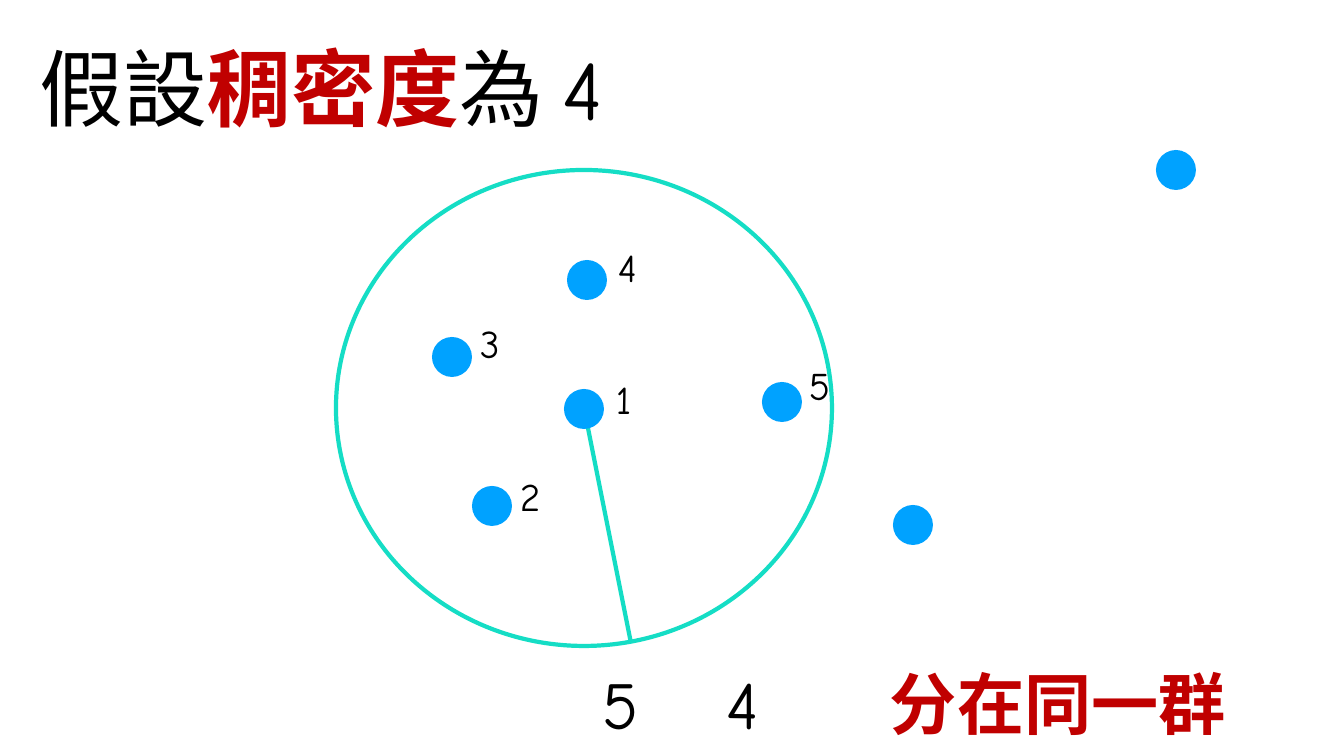
import pptx
import pptx.dml.color
import pptx.enum.shapes
import pptx.enum.text
import pptx.oxml.ns
import pptx.util
from lxml import etree

SCALE = 914400 / 100.8  # EMU per px
COLORS = {"black": "000000", "red": "C00000", "blue": "00A2FF", "teal": "15DDC5", "white": "FFFFFF"}
LATIN = "Comic Neue"
CJK = "Noto Sans CJK SC"
DOT = 40


def px(*lengths):
    return [round(length * SCALE) for length in lengths]


def add_text(box, runs):
    """Add a text box; each run is (text, format values)."""
    frame = slide.shapes.add_textbox(*px(*box)).text_frame
    frame.word_wrap = True
    frame.auto_size = pptx.enum.text.MSO_AUTO_SIZE.SHAPE_TO_FIT_TEXT
    paragraph = frame.paragraphs[0]
    for text, values in runs:
        run = paragraph.add_run()
        run.text = text
        for name, value in ({"name": LATIN, "bold": False} | values).items():
            if name == "color":
                run.font.color.rgb = pptx.dml.color.RGBColor.from_string(COLORS[value])
            else:
                setattr(run.font, name, pptx.util.Pt(value) if name == "size" else value)
        east_asian = etree.SubElement(run.font._element, pptx.oxml.ns.qn("a:ea"))
        east_asian.set("typeface", LATIN)
    return paragraph


presentation = pptx.Presentation()
presentation.slide_width, presentation.slide_height = px(1344, 756)
slide = presentation.slides.add_slide(presentation.slide_layouts[6])
slide.background.fill.solid()
slide.background.fill.fore_color.rgb = pptx.dml.color.RGBColor.from_string(COLORS["white"])
teal = pptx.dml.color.RGBColor.from_string(COLORS["teal"])
oval = pptx.enum.shapes.MSO_SHAPE.OVAL

# Neighbourhood circle
circle = slide.shapes.add_shape(oval, *px(336, 170, 496, 476))
circle.shadow.inherit = False
circle.fill.background()

# Radius
straight = pptx.enum.shapes.MSO_CONNECTOR.STRAIGHT
radius = slide.shapes.add_connector(straight, *px(584, 408, 631, 643))
etree.SubElement(radius._element.spPr, pptx.oxml.ns.qn("a:effectLst"))

for outline in (circle, radius):
    outline.line.color.rgb = teal
    outline.line.width = pptx.util.Pt(3)

# Data points, by centre
for x, y in [(587, 280), (452, 357), (492, 506), (1176, 170), (913, 525), (584, 409), (782, 402)]:
    point = slide.shapes.add_shape(oval, *px(x - DOT / 2, y - DOT / 2, DOT, DOT))
    point.shadow.inherit = False
    point.fill.solid()
    point.fill.fore_color.rgb = pptx.dml.color.RGBColor.from_string(COLORS["blue"])
    point.line.fill.background()

# Point numbers
for number, left, top in [("5", 799, 356), ("4", 608, 238), ("3", 470, 314), ("2", 510, 467), ("1", 606, 370)]:
    add_text((left, top, 59, 57), [(number, {"size": 28, "color": "black"})])

# Title
plain = {"size": 60, "color": "black"}
add_text((30, 32, 632, 112), [
    ("假設", plain),
    ("稠密度", {"size": 60, "color": "red", "bold": True}),
    ("為", plain),
    (" ", {"size": 40, "color": "black"}),
    ("4", plain),
])

# Count against density, set apart by a tab stop
count = add_text((593, 657, 249, 92), [("5\t4", {"size": 48, "color": "black"})])
tab_list = etree.SubElement(count._p.get_or_add_pPr(), pptx.oxml.ns.qn("a:tabLst"))
tab_stop = etree.SubElement(tab_list, pptx.oxml.ns.qn("a:tab"))
tab_stop.set("pos", str(px(124)[0]))
tab_stop.set("algn", "l")

# Conclusion
add_text((880, 657, 393, 92), [("分在同一群", {"size": 48, "color": "red", "bold": True, "name": CJK})])

presentation.save("out.pptx")
